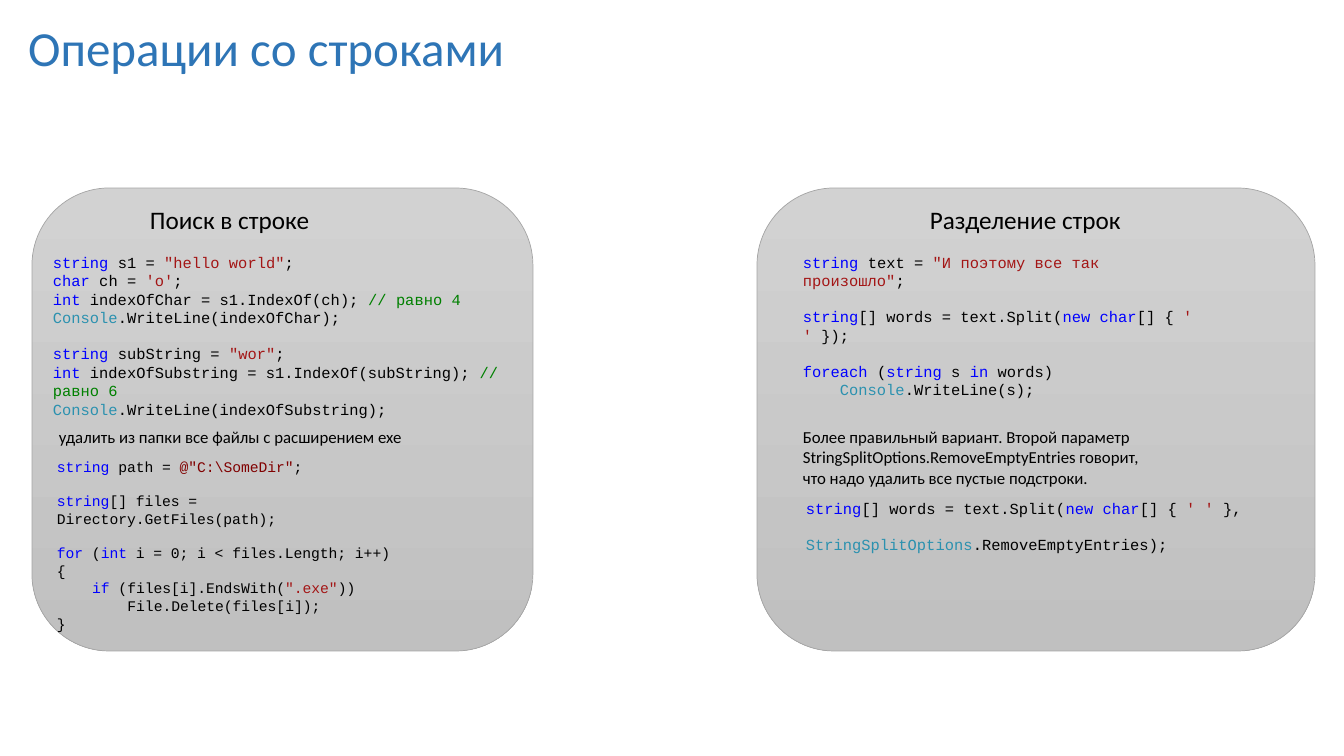
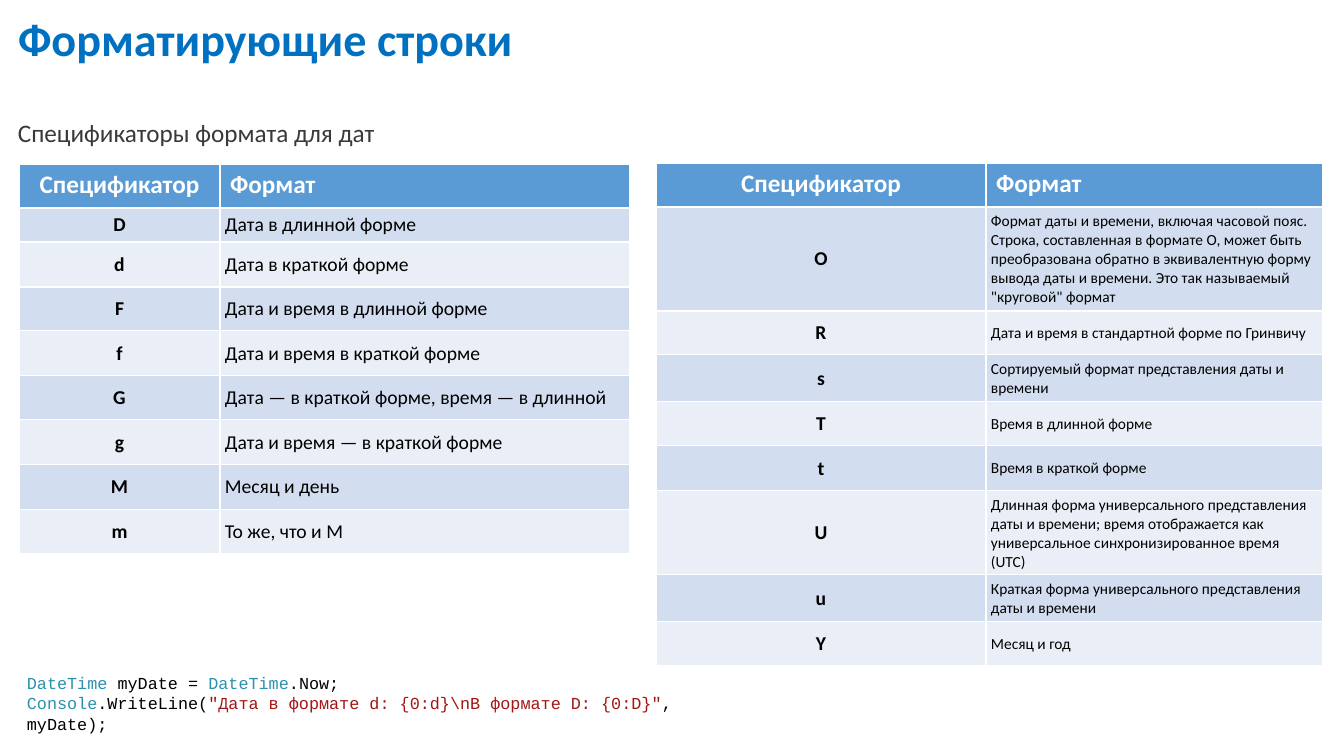
"""Build two slides on string operations and date formats."""
from dataclasses import dataclass

from pptx import Presentation
from pptx.dml.color import RGBColor
from pptx.enum.shapes import MSO_SHAPE
from pptx.enum.text import MSO_ANCHOR, PP_ALIGN
from pptx.util import Emu, Pt

WIDE, HIGH = 1344, 756
SCALE = 12192000 / WIDE


@dataclass(frozen=True)
class Theme:
    sans: str = "Calibri"
    mono: str = "Courier New"
    ink: str = "000000"
    soft: str = "3B3838"
    white: str = "FFFFFF"
    blue: str = "2E75B6"
    deep: str = "0070C0"
    head: str = "5B9BD5"
    bands: tuple = ("D2DEEF", "EAEFF7")
    panel: tuple = ("D2D2D2", "C0C0C0")
    edge: str = "A5A5A5"
    label: int = 18
    note: int = 12
    cell: int = 14
    mono_wide: float = 0.6
    mono_high: float = 1.13


LOOK = Theme()
HUES = {"k": "0000FF", "t": "2B91AF", "s": "A31515", "p": "800000", "c": "008000"}

PANELS = [(757, 188, 558, 463), (32, 188, 501, 463)]
LABELS = [
    ("Поиск в строке", (140, 199, 181, 40)),
    ("Разделение строк", (920, 199, 214, 40)),
]
NOTES = [
    ("удалить из папки все файлы с расширением exe", (49, 422, 368, 30)),
    ("Более правильный вариант. Второй параметр\n"
     "StringSplitOptions.RemoveEmptyEntries говорит,\n"
     "что надо удалить все пустые подстроки.", (793, 422, 360, 72)),
]
SNIPS = [
    (r"""~kstring~ s1 = ~s"hello world"~;
~kchar~ ch = ~s'o'~;
~kint~ indexOfChar = s1.IndexOf(ch); ~c// равно 4~
~tConsole~.WriteLine(indexOfChar);

~kstring~ subString = ~s"wor"~;
~kint~ indexOfSubstring = s1.IndexOf(subString); ~c// равно 6~
~tConsole~.WriteLine(indexOfSubstring);""", (43, 248, 501, 159), 11),
    (r"""~kstring~ path = ~p@"C:\SomeDir"~;

~kstring~[] files = Directory.GetFiles(path);

~kfor~ (~kint~ i = 0; i < files.Length; i++)
{
    ~kif~ (files[i].EndsWith(~s".exe"~))
        File.Delete(files[i]);
}""", (47, 453, 370, 170), 10.5),
    (r"""~kstring~ text = ~s"И поэтому все так произошло"~;

~kstring~[] words = text.Split(~knew char~[] { ~s' '~ });

~kforeach~ (~kstring~ s ~kin~ words)
    ~tConsole~.WriteLine(s);""", (793, 248, 426, 122), 11),
    (r"""~kstring~[] words = text.Split(~knew char~[] { ~s' '~ },

~tStringSplitOptions~.RemoveEmptyEntries);""", (796, 494, 462, 64), 11),
]
DEMO = (r"""~tDateTime~ myDate = ~tDateTime~.Now;
~tConsole~.WriteLine(~s"Дата в формате d: {0:d}\nВ формате D: {0:D}"~, myDate);""",
        (17, 668, 744, 74), 12)

HEADS = ("Спецификатор", "Формат")
GRIDS = [
    dict(at=(19, 164), cols=(201, 410), size=14,
         highs=(44, 34, 45, 44, 45, 44, 45, 45, 44), rows=[
             ("D", "Дата в длинной форме"),
             ("d", "Дата в краткой форме"),
             ("F", "Дата и время в длинной форме"),
             ("f", "Дата и время в краткой форме"),
             ("G", "Дата — в краткой форме, время — в длинной"),
             ("g", "Дата и время — в краткой форме"),
             ("М", "Месяц и день"),
             ("m", "То же, что и М"),
         ]),
    dict(at=(656, 163), cols=(330, 337), size=11,
         highs=(44, 104, 44, 47, 44, 45, 84, 47, 44), rows=[
             ("O", "Формат даты и времени, включая часовой пояс. Строка, "
                   "составленная в формате О, может быть преобразована обратно "
                   "в эквивалентную форму вывода даты и времени. "
                   "Это так называемый \"круговой\" формат"),
             ("R", "Дата и время в стандартной форме по Гринвичу"),
             ("s", "Сортируемый формат представления даты и времени"),
             ("T", "Время в длинной форме"),
             ("t", "Время в краткой форме"),
             ("U", "Длинная форма универсального представления даты и времени; "
                   "время отображается как универсальное синхронизированное "
                   "время (UTC)"),
             ("u", "Краткая форма универсального представления даты и времени"),
             ("Y", "Месяц и год"),
         ]),
]


def px(num):
    return Emu(round(num * SCALE))


def rgb(hue):
    return RGBColor.from_string(hue)


def style(font, size, hue=LOOK.ink, bold=False, name=LOOK.sans):
    font.name, font.size, font.bold = name, Pt(size), bold
    font.color.rgb = rgb(hue)


def add_box(slide, box):
    frame = slide.shapes.add_textbox(*map(px, box)).text_frame
    frame.word_wrap = True
    return frame


def add_note(slide, text, box, size, hue=LOOK.ink):
    frame = add_box(slide, box)
    frame.text = text
    for para in frame.paragraphs:
        style(para.font, size, hue)


def add_title(deck, text, box, size, hue, bold=False, lead=1.0):
    slide = deck.slides.add_slide(deck.slide_layouts[5])
    title = slide.shapes.title
    title.left, title.top, title.width, title.height = map(px, box)
    frame = title.text_frame
    frame.text = text
    frame.word_wrap = True
    frame.vertical_anchor = MSO_ANCHOR.TOP
    para = frame.paragraphs[0]
    para.alignment, para.line_spacing = PP_ALIGN.LEFT, lead
    style(para.font, size, hue, bold)
    return slide


def add_panel(slide, box):
    panel = slide.shapes.add_shape(MSO_SHAPE.ROUNDED_RECTANGLE, *map(px, box))
    panel.shadow.inherit = False
    panel.fill.gradient()
    panel.fill.gradient_angle = 270
    for stop, hue in zip(panel.fill.gradient_stops, LOOK.panel):
        stop.color.rgb = rgb(hue)
    panel.line.color.rgb = rgb(LOOK.edge)
    panel.line.width = Pt(0.5)


def add_code(slide, code, box, size):
    frame = add_box(slide, box)
    para, gap = None, 0
    for line in code.split("\n"):
        if not line:
            gap += size * LOOK.mono_high
            continue
        para = frame.add_paragraph() if para else frame.paragraphs[0]
        style(para.font, size, name=LOOK.mono)
        para.space_before, gap = Pt(gap), 0
        text = line.lstrip()
        dent = Pt((len(line) - len(text)) * size * LOOK.mono_wide)
        if dent:
            para._p.get_or_add_pPr().set("marL", str(dent))
        for spot, part in enumerate(text.split("~")):
            if part:
                run = para.add_run()
                run.text = part[1:] if spot % 2 else part
                run.font.color.rgb = rgb(HUES[part[0]] if spot % 2 else LOOK.ink)


def fill_cell(cell, text, size, hue, bold, back, mid):
    cell.text = text
    cell.fill.solid()
    cell.fill.fore_color.rgb = rgb(back)
    para = cell.text_frame.paragraphs[0]
    style(para.font, size, hue, bold)
    if mid:
        para.alignment = PP_ALIGN.CENTER


def add_grid(slide, at, cols, highs, size, rows):
    frame = slide.shapes.add_table(
        len(highs), len(cols), *map(px, (*at, sum(cols), sum(highs))))
    table = frame.table
    for col, wide in zip(table.columns, cols):
        col.width = px(wide)
    for row, high in zip(table.rows, highs):
        row.height = px(high)
    for y, texts in enumerate([HEADS, *rows]):
        for x, text in enumerate(texts):
            cell = table.cell(y, x)
            if y == 0:
                fill_cell(cell, text, LOOK.label, LOOK.white, True, LOOK.head, x == 0)
                continue
            fill_cell(cell, text, size if x else LOOK.cell, LOOK.ink, x == 0,
                      LOOK.bands[(y - 1) % 2], x == 0)
            cell.vertical_anchor = MSO_ANCHOR.MIDDLE
            cell.margin_left = cell.margin_right = px(5)
            cell.margin_top = cell.margin_bottom = px(5)


def main():
    deck = Presentation()
    deck.slide_width, deck.slide_height = px(WIDE), px(HIGH)

    slide = add_title(deck, "Операции со строками", (18, 12, 501, 70), 35, LOOK.blue)
    for box in PANELS:
        add_panel(slide, box)
    for text, box in LABELS:
        add_note(slide, text, box, LOOK.label)
    for text, box in NOTES:
        add_note(slide, text, box, LOOK.note)
    for snip in SNIPS:
        add_code(slide, *snip)

    slide = add_title(deck, "Форматирующие строки", (8, 12, 1079, 73), 33,
                      LOOK.deep, True, 0.9)
    add_note(slide, "Спецификаторы формата для дат", (8, 112, 381, 40),
             LOOK.label, LOOK.soft)
    for grid in GRIDS:
        add_grid(slide, **grid)
    add_code(slide, *DEMO)

    deck.save("out.pptx")


if __name__ == "__main__":
    main()
